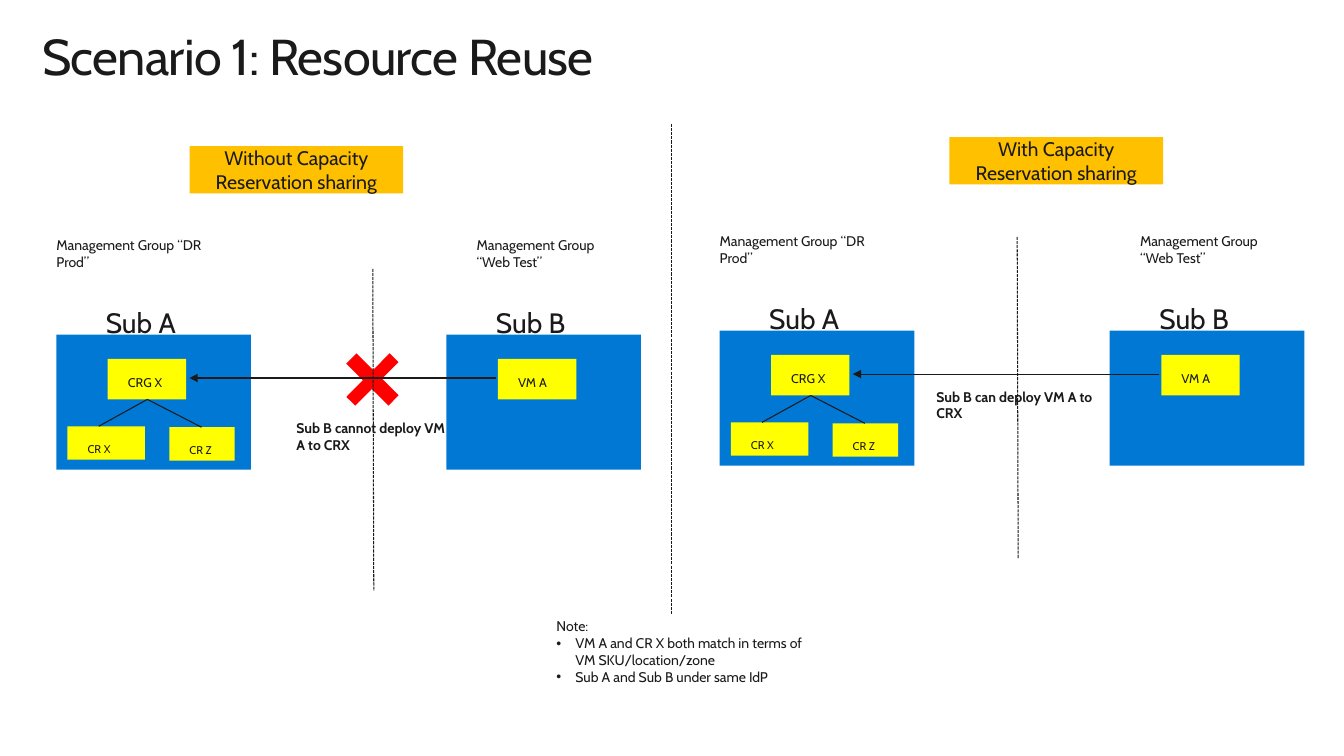
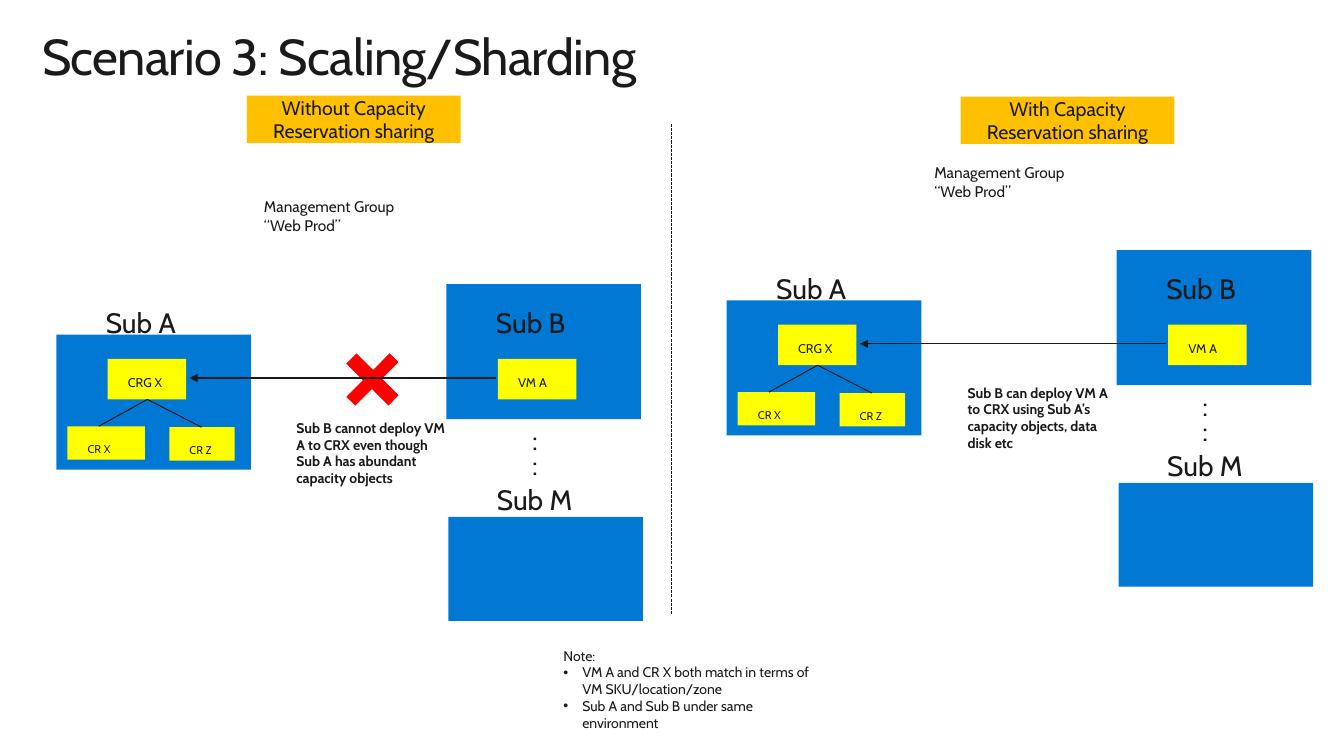
from dataclasses import dataclass

from lxml import etree
from pptx import Presentation
from pptx.dml.color import RGBColor
from pptx.enum.dml import MSO_LINE
from pptx.enum.shapes import MSO_CONNECTOR, MSO_SHAPE
from pptx.enum.text import MSO_ANCHOR, MSO_AUTO_SIZE, PP_ALIGN
from pptx.oxml.ns import qn
from pptx.util import Pt

RECT, CROSS = MSO_SHAPE.RECTANGLE, MSO_SHAPE.CROSS
LINE, DASH = MSO_CONNECTOR.STRAIGHT, MSO_LINE.SQUARE_DOT
TOP, FIXED = MSO_ANCHOR.TOP, MSO_AUTO_SIZE.NONE
LEFT, MID = PP_ALIGN.LEFT, PP_ALIGN.CENTER


@dataclass(frozen=True)
class Theme:
    font: str = "Cabin"
    ink: str = "1A1A1A"
    gold: str = "FFC000"
    blue: str = "0078D4"
    lemon: str = "FFFF00"
    red: str = "FF0000"
    title: int = 36
    sub: int = 20
    head: int = 14
    group: int = 11
    body: int = 10
    node: int = 9
    leaf: int = 8
    rule: float = 0.75


T = Theme()
WIDE, HIGH = 960, 540
BOX = (139, 96.5)
NODE = (56, 29)
PAD = (14.4, 11.5)

WITHOUT = "Without Capacity Reservation sharing"
WITH = "With Capacity Reservation sharing"
DR = "Management Group “DR Prod”"
TEST = "Management Group “Web Test”"
WEB = "Management Group “Web Prod”"
MATCH = "VM A and CR X both match in terms of VM SKU/location/zone"

PAIR = [(DR, 0, -69.8, 108.7, T.body), (TEST, 300.2, -69.8, 108.7, T.body)]
SOLE = [(WEB, 148.3, -97.9, 100.8, T.group)]

SLIDES = [
    {
        "title": "Scenario 1: Resource Reuse",
        "note": (397.5, 441.4, 48.5, ["Note:", MATCH, "Sub A and Sub B under same IdP"]),
        "panels": [
            {"at": (40.3, 239), "head": (WITHOUT, 135.4, 104.4), "groups": PAIR,
             "rise": 0, "fail": True, "shard": False, "split": (226, -47),
             "claim": ("Sub B cannot deploy VM A to CRX", 171.4, 60.5, 108.7)},
            {"at": (514.1, 236.2), "head": (WITH, 678.2, 97.9), "groups": PAIR,
             "rise": 0, "fail": False, "shard": False, "split": (212.5, -67),
             "claim": ("Sub B can deploy VM A to CRX", 154.8, 41, 117.4)},
        ],
    },
    {
        "title": "Scenario 3: Scaling/Sharding",
        "note": (402.5, 462.2, 60.5,
                 ["Note:", MATCH, "Sub A and Sub B under same environment"]),
        "panels": [
            {"at": (40.3, 239), "head": (WITHOUT, 176.4, 68.4), "groups": SOLE,
             "rise": 36, "fail": True, "shard": True, "split": None,
             "claim": ("Sub B cannot deploy VM A to CRX even though Sub A has "
                       "abundant capacity objects", 171.4, 60.5, 108.7)},
            {"at": (519.1, 214.6), "head": (WITH, 686.2, 69.1), "groups": SOLE,
             "rise": 36, "fail": False, "shard": True, "split": None,
             "claim": ("Sub B can deploy VM A to CRX using Sub A’s capacity "
                       "objects, data disk etc", 172.1, 59.8, 108.7)},
        ],
    },
]


def color(code):
    return RGBColor.from_string(code)


def place(shape, x, y, w, h):
    shape.left, shape.top, shape.width, shape.height = Pt(x), Pt(y), Pt(w), Pt(h)


def write(shape, lines, size=T.body, bold=False, align=LEFT, pad=(0, 0), track=0):
    frame = shape.text_frame
    frame.word_wrap, frame.auto_size = True, FIXED
    frame.vertical_anchor = TOP
    frame.margin_left = frame.margin_right = Pt(pad[0])
    frame.margin_top = frame.margin_bottom = Pt(pad[1])
    frame.text = "\n".join([lines] if isinstance(lines, str) else lines)
    for para in frame.paragraphs:
        para.alignment = align
        para.space_before = Pt(0)
        for run in para.runs:
            font = run.font
            font.name, font.size, font.bold = T.font, Pt(size), bold
            font.color.rgb = color(T.ink)
            if track:
                font._element.set("spc", str(track))
    return frame


def block(slide, kind, fill, x, y, w, h):
    shape = slide.shapes.add_shape(kind, Pt(x), Pt(y), Pt(w), Pt(h))
    shape.shadow.inherit = False
    shape.fill.solid()
    shape.fill.fore_color.rgb = color(fill)
    shape.line.fill.background()
    return shape


def label(slide, text, x, y, w, h=24.5, **style):
    write(slide.shapes.add_textbox(Pt(x), Pt(y), Pt(w), Pt(h)), text, **style)


def link(slide, x, y, to_x, to_y, dash=False, arrow=False):
    line = slide.shapes.add_connector(LINE, Pt(x), Pt(y), Pt(to_x), Pt(to_y))
    line.line.width = Pt(T.rule)
    line.line.color.rgb = color(T.ink)
    if dash:
        line.line.dash_style = DASH
    if arrow:
        tail = etree.SubElement(line.line._get_or_add_ln(), qn("a:tailEnd"))
        tail.set("type", "triangle")
    etree.SubElement(line._element.spPr, qn("a:effectLst"))


def note(shape, x, y, h, lines):
    place(shape, x, y, 180, h)
    frame = write(shape, lines)
    for rank, para in enumerate(frame.paragraphs):
        props = para._p.get_or_add_pPr()
        step = Pt(13.5) if rank else 0
        props.set("marL", str(step))
        props.set("indent", str(-step))
        if not rank:
            etree.SubElement(props, qn("a:buNone"))


def panel(slide, at, head, groups, rise, fail, shard, split, claim):
    left, top = at

    def spot(x, y):
        return left + x, top + y

    def node(text, x, y, w, h, size):
        write(block(slide, RECT, T.lemon, *spot(x, y), w, h), text, size=size, pad=PAD)

    def sub(text, x, y):
        label(slide, text, *spot(x, y), 96.5, size=T.sub)

    name, x, y = head
    write(block(slide, RECT, T.gold, x, y, 152.6, 33.8), name, size=T.head, align=MID)

    if fail:
        mark = block(slide, CROSS, T.red, *spot(203.8, 10.8), 43.9, 42.5)
        mark.adjustments[0] = 0.395
        mark.rotation = 314.8

    block(slide, RECT, T.blue, *spot(0, 0), *BOX)
    block(slide, RECT, T.blue, *spot(278.6, -rise), *BOX)
    node("CRG X", 36.7, 17.3, *NODE, T.node)
    node("CR X", 7.9, 65.5, 55.4, 23.8, T.leaf)
    node("CR Z", 80.6, 66.2, 46.8, 23.8, T.leaf)
    node("VM A", 315.4, 17.3, *NODE, T.node)
    sub("Sub A", 35.3, -20.9)
    sub("Sub B", 314, -20.9)
    for x, y in [(30.2, 65.5), (103.7, 66.2)]:
        link(slide, *spot(65, 46.3), *spot(x, y))
    link(slide, *spot(314, 31), *spot(95, 31), arrow=True)

    if shard:
        block(slide, RECT, T.blue, *spot(280, 130.3), 139, 74.2)
        sub("Sub M", 314.6, 105.8)
        for y in (63, 81):
            label(slide, ":", *spot(339.8, y), 30, size=T.sub)
    if split:
        x, y = split
        link(slide, *spot(x, y), *spot(x + 0.7, y + 230), dash=True)

    for name, x, y, w, size in groups:
        label(slide, name, *spot(x, y), w, size=size)
    name, x, y, w = claim
    label(slide, name, *spot(x, y), w, bold=True)


def main():
    deck = Presentation()
    deck.slide_width, deck.slide_height = Pt(WIDE), Pt(HIGH)
    for page in SLIDES:
        slide = deck.slides.add_slide(deck.slide_layouts[1])
        title = slide.shapes.title
        place(title, 30.2, 18, 867.6, 44)
        write(title, page["title"], size=T.title, track=-50)
        note(slide.placeholders[1], *page["note"])
        link(slide, WIDE / 2, 88.5, WIDE / 2, 438.5, dash=True)
        for part in page["panels"]:
            panel(slide, **part)
    deck.save("out.pptx")


if __name__ == "__main__":
    main()
